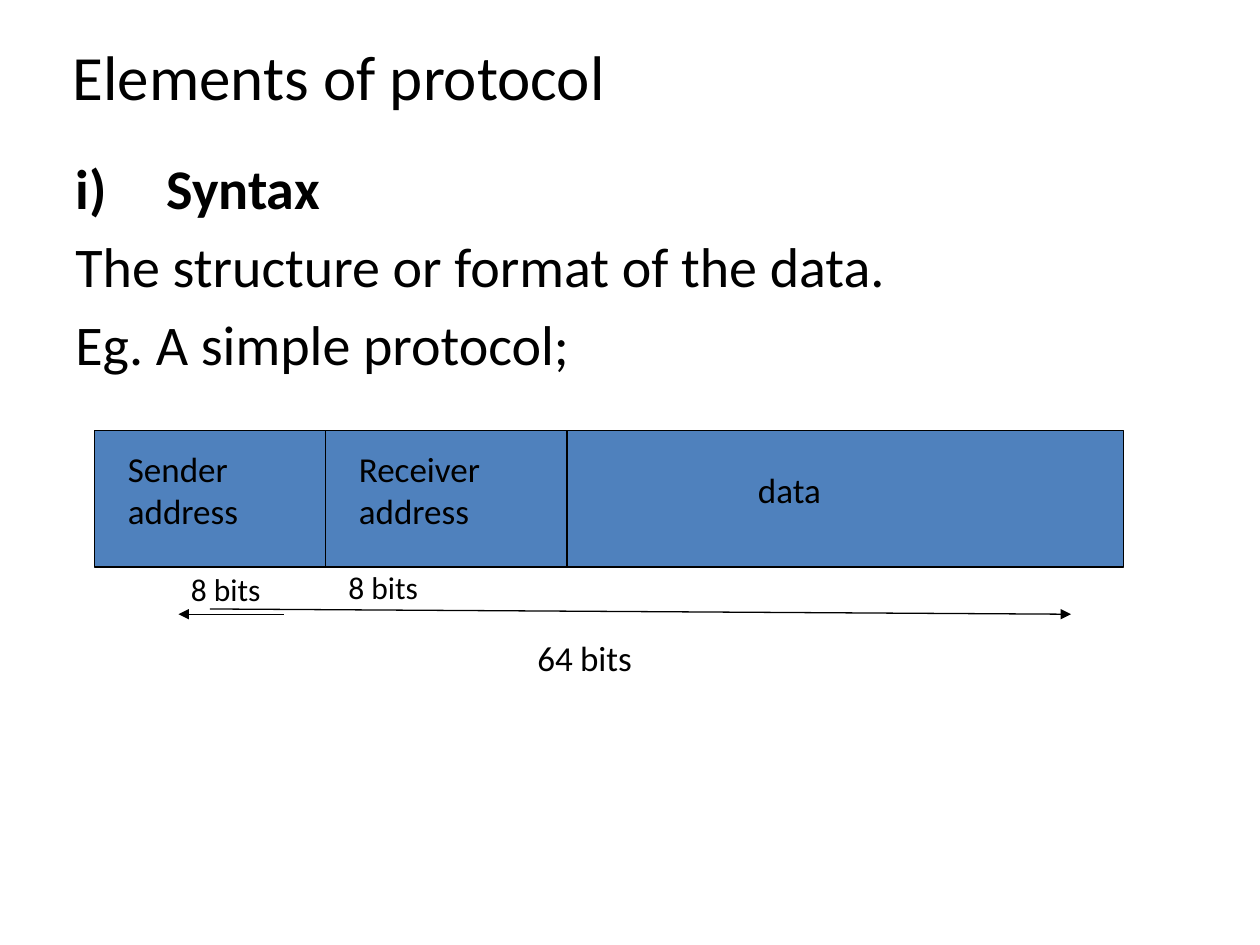
from pptx import Presentation
from pptx.dml.color import RGBColor
from pptx.enum.shapes import MSO_CONNECTOR, MSO_SHAPE
from pptx.enum.text import MSO_ANCHOR
from pptx.oxml.xmlchemy import OxmlElement as Element
from pptx.util import Pt

COLORS = {"ink": "000000", "field": "4F81BD"}
FONT = "Calibri"


def color(name):
    return RGBColor.from_string(COLORS[name])


def add_text(slide, box, paragraphs, size=20, wrap=True, anchor=MSO_ANCHOR.TOP,
             bold_first=False, space_before=0):
    """Each paragraph is a string or a list of (text, size) runs."""
    frame = slide.shapes.add_textbox(*map(Pt, box)).text_frame
    frame.word_wrap = wrap
    frame.vertical_anchor = anchor
    for i, content in enumerate(paragraphs):
        paragraph = frame.paragraphs[0] if i == 0 else frame.add_paragraph()
        paragraph.space_before = Pt(space_before)
        runs = [(content, size)] if isinstance(content, str) else content
        for words, run_size in runs:
            run = paragraph.add_run()
            run.text = words
            run.font.name = FONT
            run.font.size = Pt(run_size)
            run.font.bold = bold_first and i == 0
            run.font.color.rgb = color("ink")
    return frame


def add_line(slide, start, end, arrow=False):
    line = slide.shapes.add_connector(
        MSO_CONNECTOR.STRAIGHT, *map(Pt, (*start, *end)))
    line.line.color.rgb = color("ink")
    line.line.width = Pt(0.75)
    if arrow:
        head = Element("a:tailEnd")
        head.set("type", "triangle")
        line.line._get_or_add_ln().append(head)
    line._element.spPr.append(Element("a:effectLst"))


def add_title(slide, box):
    add_text(slide, box, ["Elements of protocol"], size=36,
             anchor=MSO_ANCHOR.MIDDLE)


def add_definition(slide, box):
    frame = add_text(
        slide, box,
        ["Syntax", "The structure or format of the data.",
         "Eg. A simple protocol;"],
        size=32, bold_first=True, space_before=6.4)
    # Hanging indent, with a roman number on the heading only
    indent = Pt(52)
    for i, paragraph in enumerate(frame.paragraphs):
        props = paragraph._p.get_or_add_pPr()
        props.set("marL", str(indent))
        props.set("indent", str(-indent))
        if i == 0:
            number = Element("a:buAutoNum")
            number.set("type", "romanLcParenR")
            props.append(number)
        else:
            props.append(Element("a:buNone"))


def add_packet(slide, box):
    left, top, width, height = box
    bottom = top + height

    # Packet body and field dividers
    packet = slide.shapes.add_shape(MSO_SHAPE.RECTANGLE, *map(Pt, box))
    packet.shadow.inherit = False
    packet.fill.solid()
    packet.fill.fore_color.rgb = color("field")
    packet.line.color.rgb = color("ink")
    packet.line.width = Pt(0.75)
    for offset in (132, 270):
        add_line(slide, (left + offset, top), (left + offset, bottom))

    # Total width arrows
    arrow_y = bottom + 27
    add_line(slide, (left + 66, arrow_y - 3), (left + 558, arrow_y), arrow=True)
    add_line(slide, (left + 108, arrow_y), (left + 48, arrow_y), arrow=True)
    add_text(slide, (left + 246, bottom + 36, 88, 45),
             [[("64", 20), (" ", 18), ("bits", 20)]], wrap=False)

    # Field sizes
    for offset, drop in ((48, -2), (138, -3)):
        add_text(slide, (left + offset, bottom + drop, 65, 29), ["8 bits"],
                 size=18, wrap=False)

    # Field names
    for name, offset, drop, name_width, name_height, wrap in (
            ("Sender address", 12, 6, 114, 55, True),
            ("Receiver address", 144, 6, 108, 55, True),
            ("data", 372, 18, 59, 31, False)):
        add_text(slide, (left + offset, top + drop, name_width, name_height),
                 [name], wrap=wrap)


def main():
    deck = Presentation()
    deck.slide_width, deck.slide_height = Pt(720), Pt(540)
    slide = deck.slides.add_slide(deck.slide_layouts[6])
    add_title(slide, (34.5, 8, 649.5, 70))
    add_definition(slide, (36, 84, 648, 393))
    add_packet(slide, (54, 246, 588, 78))
    deck.save("out.pptx")


if __name__ == "__main__":
    main()
